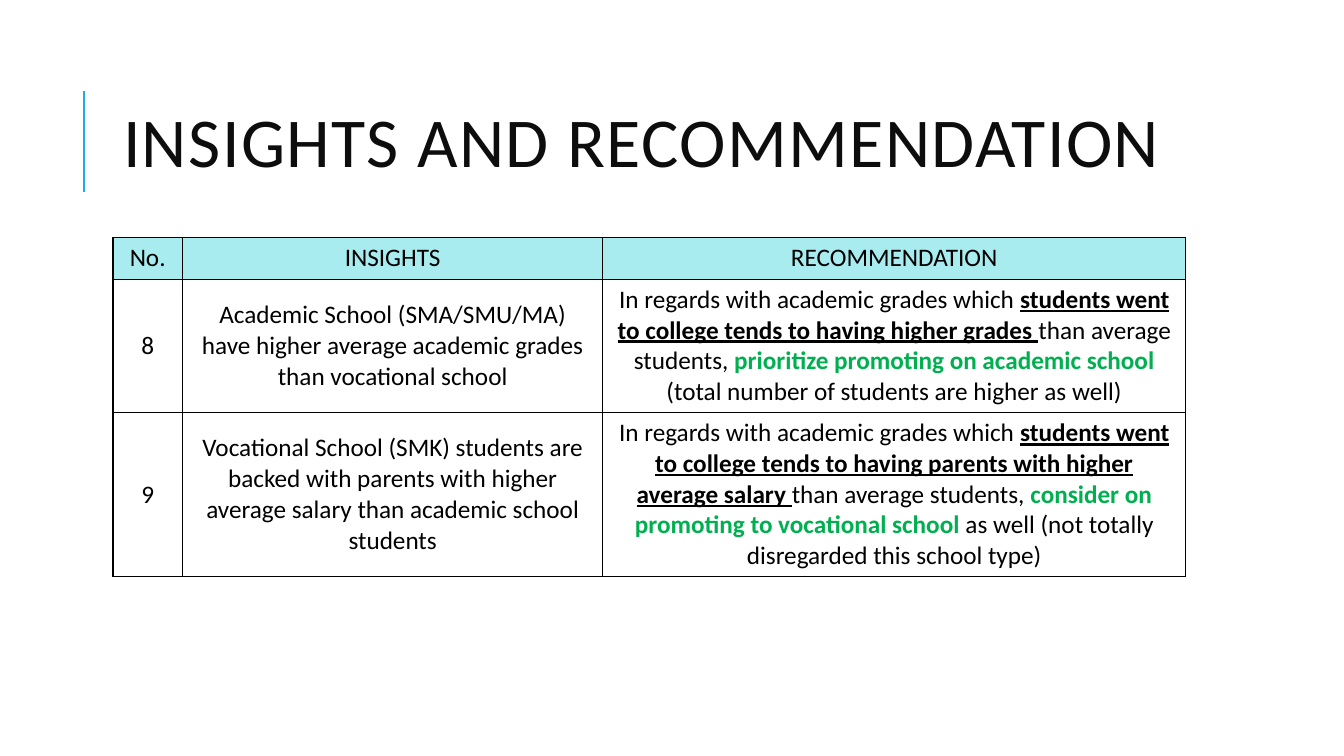
"""Build the insights and recommendation slide."""
from dataclasses import dataclass

from lxml.etree import SubElement
from pptx import Presentation
from pptx.dml.color import RGBColor
from pptx.enum.shapes import MSO_CONNECTOR
from pptx.enum.text import MSO_ANCHOR, MSO_AUTO_SIZE, PP_ALIGN
from pptx.oxml.ns import qn
from pptx.util import Inches, Pt

COLORS = {"accent": "1CADE4", "title": "0D0D0D", "text": "000000",
          "header": "A8ECEF", "advice": "00B050"}
COLS = (0.69, 4.17, 5.78)
ROWS = (0.41, 1.32, 1.63)
HEADERS = ("No.", "INSIGHTS", "RECOMMENDATION")


@dataclass
class Finding:
    no: str
    insight: str
    trait: str
    advice: str
    remark: str


FINDINGS = (
    Finding("8",
            "Academic School (SMA/SMU/MA) have higher average academic grades than vocational school",
            "students went to college tends to having higher grades ",
            "prioritize promoting on academic school ",
            "(total number of students are higher as well)"),
    Finding("9",
            "Vocational School (SMK) students are backed with parents with higher average salary "
            "than academic school students",
            "students went to college tends to having parents with higher average salary ",
            "consider on promoting to vocational school ",
            "as well (not totally disregarded this school type)"),
)


def rgb(name: str) -> RGBColor:
    return RGBColor.from_string(COLORS[name])


def add_text(p, text: str, *, size=18, color="text", bold=False, underline=False,
             align=PP_ALIGN.CENTER, spacing=0) -> None:
    p.alignment = align
    r = p.add_run()
    r.text = text
    f = r.font
    f.name, f.size, f.bold, f.underline = "Calibri", Pt(size), bold, underline
    f.color.rgb = rgb(color)
    if spacing:
        r._r.get_or_add_rPr().set("spc", str(spacing * 100))


def add_title(s, text: str) -> None:
    sp = s.shapes.title
    sp.left, sp.top, sp.width, sp.height = map(Inches, (1.12, 0.64, 10.63, 1.64))
    tf = sp.text_frame
    tf.word_wrap = True
    tf.auto_size = MSO_AUTO_SIZE.NONE
    tf.vertical_anchor = MSO_ANCHOR.MIDDLE
    p = tf.paragraphs[0]
    p.line_spacing = 0.8
    add_text(p, text, size=50, color="title", align=PP_ALIGN.LEFT, spacing=1)


def add_rule(s) -> None:
    line = s.shapes.add_connector(MSO_CONNECTOR.STRAIGHT, Inches(0.83), Inches(1.9),
                                  Inches(0.83), Inches(0.9))
    line.line.color.rgb = rgb("accent")
    line.line.width = Pt(1.5)
    SubElement(line._element.spPr, qn("a:effectLst"))


def set_borders(cell) -> None:
    tcPr = cell._tc.get_or_add_tcPr()
    for side in ("lnL", "lnR", "lnT", "lnB"):
        ln = SubElement(tcPr, qn(f"a:{side}"), w=str(Pt(1)))
        SubElement(SubElement(ln, qn("a:solidFill")), qn("a:srgbClr"), val=COLORS["text"])


def add_findings(s) -> None:
    tbl = s.shapes.add_table(len(ROWS), len(COLS), Inches(1.12), Inches(2.36),
                             Inches(sum(COLS)), Inches(sum(ROWS))).table
    tbl.first_row = tbl.horz_banding = False
    for col, width in zip(tbl.columns, COLS):
        col.width = Inches(width)
    for row, height in zip(tbl.rows, ROWS):
        row.height = Inches(height)
    for cell in tbl.iter_cells():
        set_borders(cell)
        cell.fill.background()
        cell.vertical_anchor = MSO_ANCHOR.MIDDLE
    for i, header in enumerate(HEADERS):
        cell = tbl.cell(0, i)
        cell.fill.solid()
        cell.fill.fore_color.rgb = rgb("header")
        cell.vertical_anchor = MSO_ANCHOR.TOP
        add_text(cell.text_frame.paragraphs[0], header)
    for i, item in enumerate(FINDINGS, 1):
        no, insight, advice = (tbl.cell(i, j).text_frame.paragraphs[0] for j in range(3))
        add_text(no, item.no)
        add_text(insight, item.insight)
        add_text(advice, "In regards with academic grades which ")
        add_text(advice, item.trait, bold=True, underline=True)
        add_text(advice, "than average students, ")
        add_text(advice, item.advice, bold=True, color="advice")
        add_text(advice, item.remark)


def main() -> None:
    prs = Presentation()
    prs.slide_width, prs.slide_height = Inches(13.33), Inches(7.5)
    s = prs.slides.add_slide(prs.slide_layouts[5])
    add_rule(s)
    add_title(s, "INSIGHTS AND RECOMMENDATION")
    add_findings(s)
    prs.save("out.pptx")


if __name__ == "__main__":
    main()
